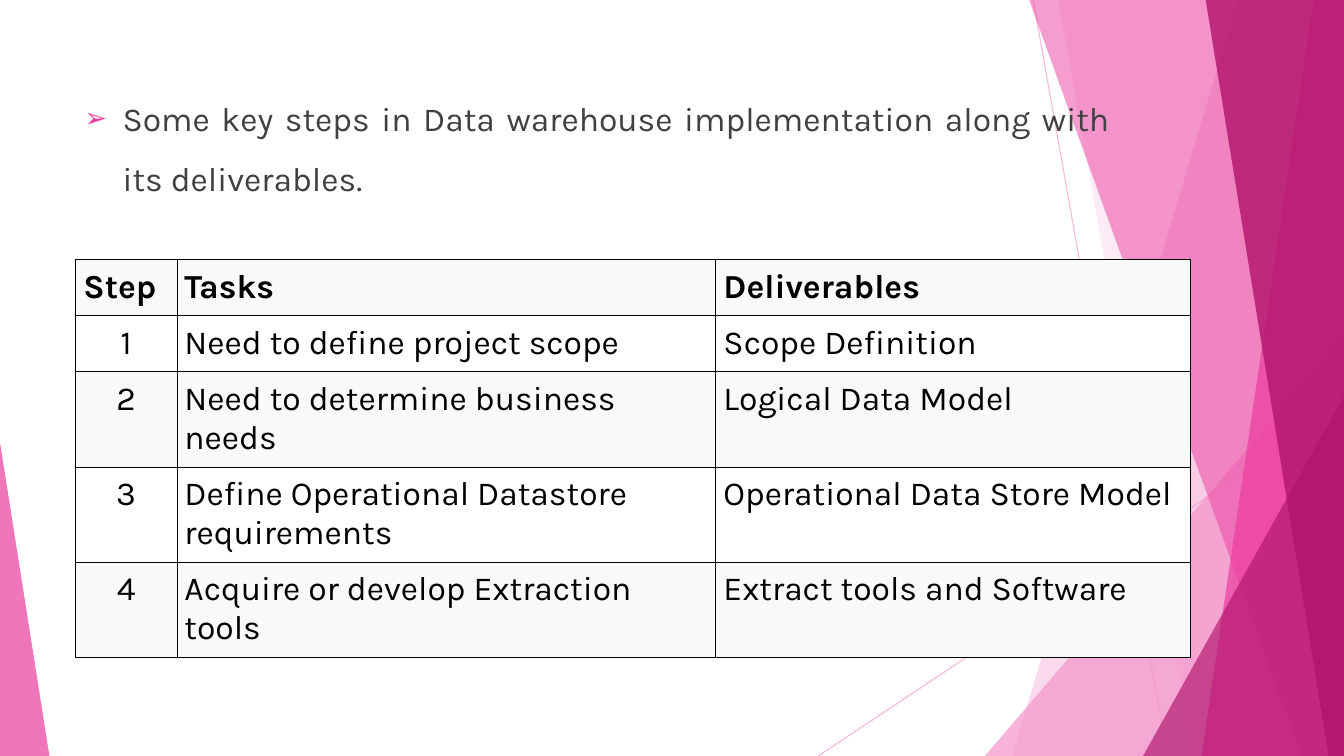
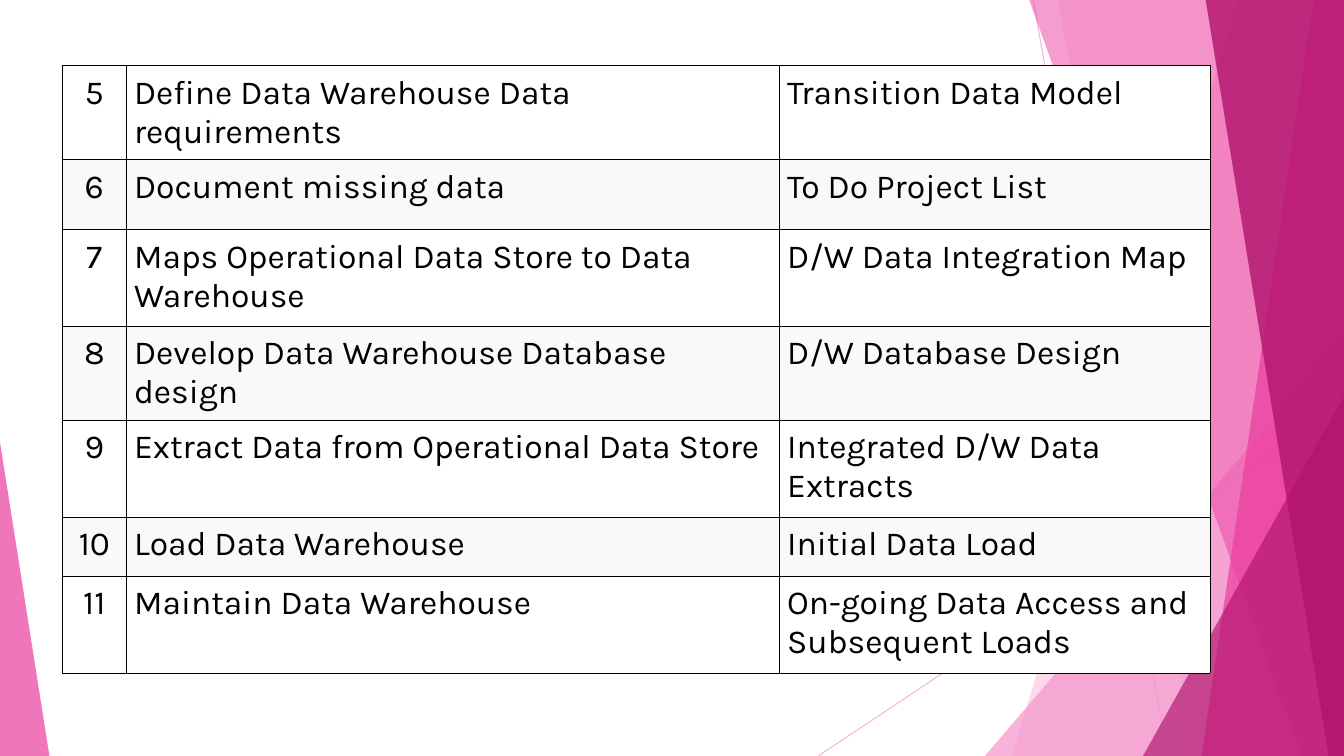
from dataclasses import dataclass

import pptx
import pptx.dml.color
import pptx.enum.shapes
import pptx.enum.text
import pptx.oxml
import pptx.oxml.ns
import pptx.util
from lxml import etree

Pt = pptx.util.Pt
qn = pptx.oxml.ns.qn
Align = pptx.enum.text.PP_ALIGN


@dataclass(frozen=True)
class Theme:
    pale: str = "F496CB"
    pink: str = "EB3D9F"
    deep: str = "B2136D"
    body: str = "404040"
    ink: str = "000000"
    white: str = "FFFFFF"
    stripe: str = "F9F9F9"
    font: str = "Karla"
    size: float = 24
    width: float = 960
    height: float = 540
    inset: float = 5.6
    border: float = 0.25


THEME = Theme()


@dataclass(frozen=True)
class Ray:
    """Thin line that crosses the backdrop."""
    start: tuple[float, float]
    end: tuple[float, float]


@dataclass(frozen=True)
class Panel:
    """Full-height facet between a slanted edge and the right slide edge."""
    top_x: float
    bottom_x: float
    color: str
    opacity: int


@dataclass(frozen=True)
class Peak:
    """Right-angled triangle that stands on the bottom slide edge."""
    left: float
    right: float
    top: float
    apex: float
    color: str
    opacity: int


@dataclass(frozen=True)
class Step:
    number: str
    task: str
    deliverable: str


@dataclass(frozen=True)
class StepTable:
    left: float
    top: float
    columns: tuple[float, ...]
    rows: tuple[float, ...]
    steps: tuple[Step, ...]
    has_header: bool = False


RAYS = (Ray((738, 0), (834, 540)), Ray((960, 290), (584.5, 540)))
FACETS = (
    Panel(884.2, 723, THEME.pale, 36),
    Panel(756, 851.8, THEME.pale, 20),
    Peak(703.5, 960, 240, 1, THEME.pale, 72),
    Panel(735.2, 929.6, THEME.pink, 50),
    Panel(938.2, 858.2, THEME.pink, 70),
    Panel(861.2, 949, THEME.deep, 80),
    Peak(816.5, 960, 283, 1, THEME.deep, 66),
    Peak(0, 35.3, 316, 0, THEME.pink, 70),
)

INTRO = "Some key steps in Data warehouse implementation along with its deliverables."
FIRST_STEPS = StepTable(
    54, 185.4, (72.2, 385, 339.3), (40, 40, 68, 68, 68),
    (
        Step("Step", "Tasks", "Deliverables"),
        Step("1", "Need to define project scope", "Scope Definition"),
        Step("2", "Need to determine business needs", "Logical Data Model"),
        Step("3", "Define Operational Datastore requirements", "Operational Data Store Model"),
        Step("4", "Acquire or develop Extraction tools", "Extract tools and Software"),
    ),
    has_header=True,
)
LATER_STEPS = StepTable(
    44.6, 46.8, (45.6, 466.5, 307.5), (67, 50, 69, 67, 69.5, 42, 69),
    (
        Step("5", "Define Data Warehouse Data requirements", "Transition Data Model"),
        Step("6", "Document missing data", "To Do Project List"),
        Step("7", "Maps Operational Data Store to Data Warehouse", "D/W Data Integration Map"),
        Step("8", "Develop Data Warehouse Database design", "D/W Database Design"),
        Step("9", "Extract Data from Operational Data Store", "Integrated D/W Data Extracts"),
        Step("10", "Load Data Warehouse", "Initial Data Load"),
        Step("11", "Maintain Data Warehouse", "On-going Data Access and Subsequent Loads"),
    ),
)


def rgb(color: str) -> pptx.dml.color.RGBColor:
    return pptx.dml.color.RGBColor.from_string(color)


def set_opacity(element, percent: int) -> None:
    for color in element.iter(qn("a:srgbClr")):
        etree.SubElement(color, qn("a:alpha"), val=str(percent * 1000))


def write_text(frame, text: str, *, color: str = THEME.ink, bold: bool = False,
               align=Align.LEFT, line_spacing: float = 1, space_before: float = 0):
    paragraph = frame.paragraphs[0]
    paragraph.alignment = align
    paragraph.line_spacing = line_spacing
    paragraph.space_before = Pt(space_before)
    run = paragraph.add_run()
    run.text = text
    run.font.name = THEME.font
    run.font.size = Pt(THEME.size)
    run.font.bold = bold
    run.font.color.rgb = rgb(color)
    return paragraph


# Backdrop
def draw_ray(shapes, ray: Ray) -> None:
    line = shapes.add_connector(
        pptx.enum.shapes.MSO_CONNECTOR.STRAIGHT,
        *(Pt(value) for value in ray.start + ray.end))
    line.line.color.rgb = rgb(THEME.pale)
    line.line.width = Pt(0.75)
    properties = line._element.spPr
    set_opacity(properties, 70)
    etree.SubElement(properties, qn("a:effectLst"))


def draw_facet(shapes, facet: Panel | Peak) -> None:
    if isinstance(facet, Panel):
        outline = shapes.build_freeform(Pt(facet.top_x), Pt(0))
        outline.add_line_segments([
            (Pt(THEME.width), Pt(0)),
            (Pt(THEME.width), Pt(THEME.height)),
            (Pt(facet.bottom_x), Pt(THEME.height)),
        ], close=True)
        shape = outline.convert_to_shape()
    else:
        shape = shapes.add_shape(
            pptx.enum.shapes.MSO_SHAPE.ISOSCELES_TRIANGLE, Pt(facet.left), Pt(facet.top),
            Pt(facet.right - facet.left), Pt(THEME.height - facet.top))
        shape.adjustments[0] = facet.apex
    shape.shadow.inherit = False
    shape.fill.solid()
    shape.fill.fore_color.rgb = rgb(facet.color)
    shape.line.fill.background()
    set_opacity(shape._element.spPr, facet.opacity)


def put_backdrop_on_master(slide, master) -> None:
    """Draw the backdrop as a group, then hand it to the master for all slides."""
    backdrop = slide.shapes.add_group_shape()
    for ray in RAYS:
        draw_ray(backdrop.shapes, ray)
    for facet in FACETS:
        draw_facet(backdrop.shapes, facet)
    for number, identity in enumerate(backdrop._element.iter(qn("p:cNvPr")), start=100):
        identity.set("id", str(number))
    master.shapes._spTree.insert(2, backdrop._element)


# Bulleted introduction
def fill_intro(placeholder) -> None:
    placeholder.left, placeholder.top = Pt(53.3), Pt(51.8)
    placeholder.width, placeholder.height = Pt(746.6), Pt(447)
    frame = placeholder.text_frame
    frame.auto_size = pptx.enum.text.MSO_AUTO_SIZE.NONE
    frame.vertical_anchor = pptx.enum.text.MSO_ANCHOR.TOP
    paragraph = write_text(frame, INTRO, color=THEME.body, align=Align.JUSTIFY,
                           line_spacing=1.5, space_before=10)
    properties = paragraph._p.get_or_add_pPr()
    properties.set("marL", str(Pt(27)))
    properties.set("indent", str(Pt(-27)))
    bullet_color = etree.SubElement(properties, qn("a:buClr"))
    etree.SubElement(bullet_color, qn("a:srgbClr"), val=THEME.pink)
    etree.SubElement(properties, qn("a:buSzPct"), val="80000")
    etree.SubElement(properties, qn("a:buChar"), char="➢")


# Step tables
def add_borders(cell) -> None:
    properties = cell._tc.get_or_add_tcPr()
    for position, side in enumerate(("a:lnL", "a:lnR", "a:lnT", "a:lnB")):
        border = etree.Element(qn(side), w=str(Pt(THEME.border)))
        fill = etree.SubElement(border, qn("a:solidFill"))
        etree.SubElement(fill, qn("a:srgbClr"), val=THEME.ink)
        properties.insert(position, border)


def add_steps(slide, plan: StepTable) -> None:
    table = slide.shapes.add_table(
        len(plan.rows), len(plan.columns), Pt(plan.left), Pt(plan.top),
        Pt(sum(plan.columns)), Pt(sum(plan.rows))).table
    table.first_row = table.horz_banding = False
    for column, width in zip(table.columns, plan.columns):
        column.width = Pt(width)
    for index, (row, height, step) in enumerate(zip(table.rows, plan.rows, plan.steps)):
        row.height = Pt(height)
        is_header = plan.has_header and index == 0
        is_striped = (index % 2 == 0) == plan.has_header
        for cell, text in zip(row.cells, (step.number, step.task, step.deliverable)):
            cell.margin_left = cell.margin_right = Pt(THEME.inset)
            cell.margin_top = cell.margin_bottom = Pt(THEME.inset)
            cell.fill.solid()
            cell.fill.fore_color.rgb = rgb(THEME.stripe if is_striped else THEME.white)
            add_borders(cell)
            is_number = text == step.number and not is_header
            write_text(cell.text_frame, text, bold=is_header,
                       align=Align.CENTER if is_number else Align.LEFT)


def main() -> None:
    deck = pptx.Presentation()
    deck.slide_width, deck.slide_height = Pt(THEME.width), Pt(THEME.height)
    content_layout, blank_layout = deck.slide_layouts[1], deck.slide_layouts[6]

    # Slide 1: introduction and steps 1 to 4
    opening = deck.slides.add_slide(content_layout)
    put_backdrop_on_master(opening, deck.slide_master)
    unused_title = opening.shapes.title._element
    unused_title.getparent().remove(unused_title)
    fill_intro(opening.placeholders[1])
    add_steps(opening, FIRST_STEPS)

    # Slide 2: steps 5 to 11
    add_steps(deck.slides.add_slide(blank_layout), LATER_STEPS)

    deck.save("out.pptx")


if __name__ == "__main__":
    main()
